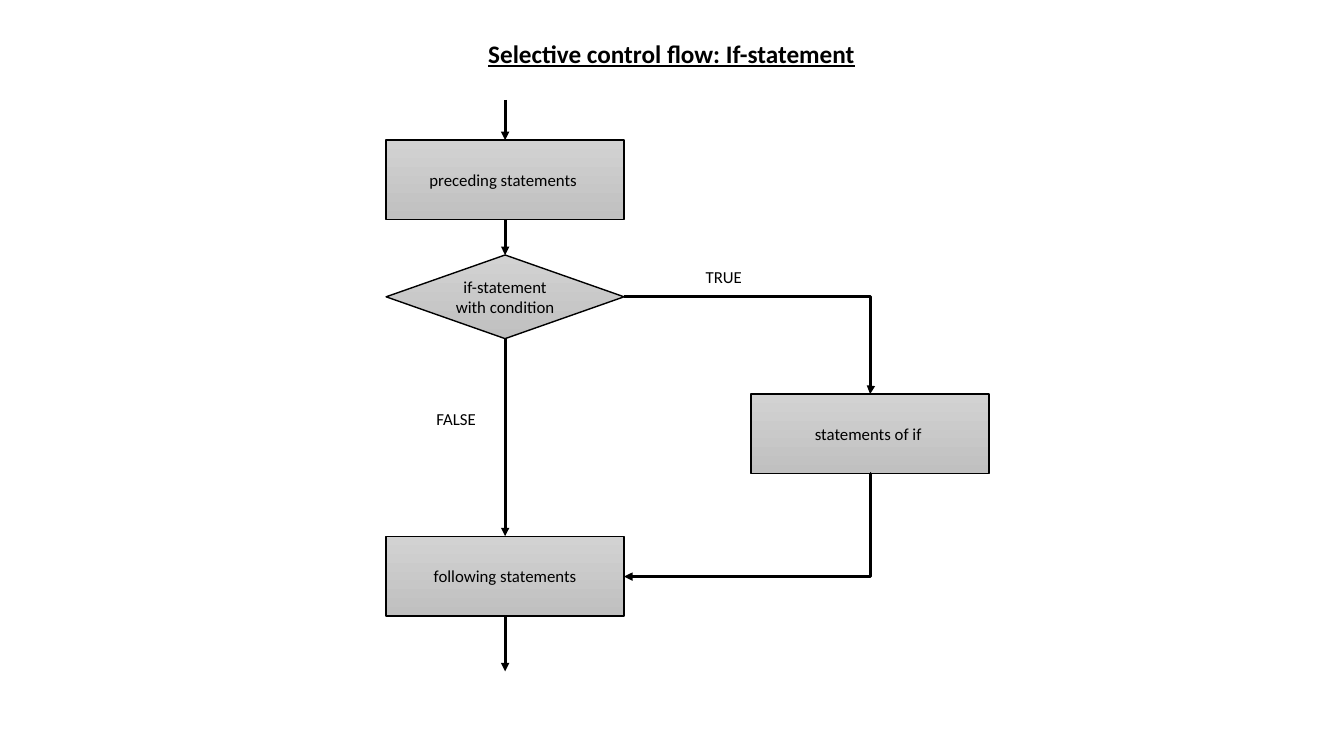
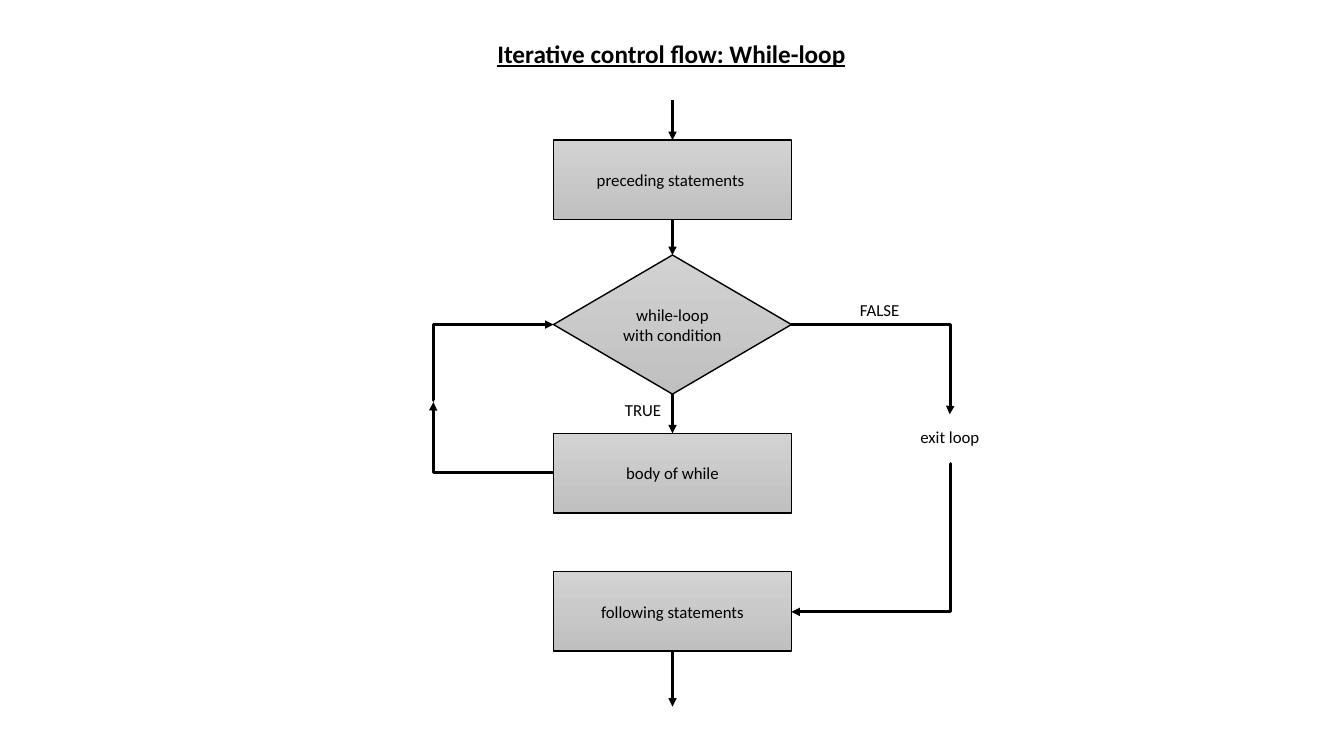
import pptx
import pptx.util
import pptx.dml.color
import pptx.enum.shapes
import pptx.enum.text
import pptx.oxml
import pptx.oxml.ns
from dataclasses import dataclass
from typing import Any, Optional

UNIT = 9144  # EMU in one px, 100 px to the inch
FONT = "Calibri"
HUES = {"ink": "000000", "top": "D2D2D2", "base": "C0C0C0"}
WIDE, TALL = 236, 79  # size of a process box

Kind = pptx.enum.shapes.MSO_SHAPE
Join = pptx.enum.shapes.MSO_CONNECTOR
Side = pptx.enum.text.PP_ALIGN
Hold = pptx.enum.text.MSO_ANCHOR
Grow = pptx.enum.text.MSO_AUTO_SIZE


@dataclass
class Node:
    text: str
    left: int
    top: int
    high: int = TALL
    kind: Any = Kind.FLOWCHART_PROCESS


@dataclass
class Arrow:
    x1: int
    y1: int
    x2: int
    y2: int
    bend: Optional[str] = None  # "across" or "down": which leg is first


@dataclass
class Label:
    text: str
    left: int
    top: int
    wide: int


@dataclass
class Chart:
    title: str
    nodes: list[Node]
    arrows: list[Arrow]
    labels: list[Label]


def px(size: int) -> int:
    return pptx.util.Emu(size * UNIT)


def hue(name: str) -> Any:
    return pptx.dml.color.RGBColor.from_string(HUES[name])


def write(shape: Any, text: str, *, size: int = 12, bold: bool = False,
          line: bool = False, align: Any = Side.CENTER,
          hold: Any = Hold.MIDDLE, wrap: bool = True) -> None:
    frame = shape.text_frame
    frame.word_wrap = wrap
    frame.vertical_anchor = hold
    frame.auto_size = Grow.NONE
    par = frame.paragraphs[0]
    par.alignment = align
    run = par.add_run()
    run.text = text
    font = run.font
    font.name, font.size = FONT, pptx.util.Pt(size)
    font.bold, font.underline = bold, line
    font.color.rgb = hue("ink")


def add_node(slide: Any, node: Node) -> None:
    shape = slide.shapes.add_shape(
        node.kind, px(node.left), px(node.top), px(WIDE), px(node.high))
    shape.shadow.inherit = False
    shape.fill.gradient()
    shape.fill.gradient_angle = 270
    for stop, name in zip(shape.fill.gradient_stops, ("top", "base")):
        stop.color.rgb = hue(name)
    shape.line.color.rgb = hue("ink")
    shape.line.width = pptx.util.Pt(1)
    write(shape, node.text)


def add_arrow(slide: Any, arrow: Arrow) -> None:
    kind = Join.ELBOW if arrow.bend else Join.STRAIGHT
    link = slide.shapes.add_connector(
        kind, px(arrow.x1), px(arrow.y1), px(arrow.x2), px(arrow.y2))
    link.line.color.rgb = hue("ink")
    link.line.width = pptx.util.Pt(2)
    make = pptx.oxml.ns.qn
    props = link.element.spPr
    tip = props.find(make("a:ln")).makeelement(
        make("a:tailEnd"), {"type": "triangle"})
    props.find(make("a:ln")).append(tip)
    props.append(props.makeelement(make("a:effectLst"), {}))
    if arrow.bend:
        # Put the turn just past one end, so the tip follows the last leg
        turn = 100300 if arrow.bend == "across" else -300
        geom = props.find(make("a:prstGeom"))
        rules = geom.find(make("a:avLst"))
        if rules is None:
            rules = geom.makeelement(make("a:avLst"), {})
            geom.append(rules)
        rules.append(rules.makeelement(
            make("a:gd"), {"name": "adj1", "fmla": f"val {turn}"}))


def add_label(slide: Any, label: Label) -> None:
    box = slide.shapes.add_textbox(
        px(label.left), px(label.top), px(label.wide), px(30))
    write(box, label.text, align=Side.LEFT, hold=Hold.TOP, wrap=False)


def draw(deck: Any, chart: Chart) -> None:
    slide = deck.slides.add_slide(deck.slide_layouts[5])
    title = slide.shapes.title
    title.left, title.top = px(430), px(33)
    title.width, title.height = px(472), px(40)
    write(title, chart.title, size=18, bold=True, line=True, hold=Hold.TOP)
    for node in chart.nodes:
        add_node(slide, node)
    for arrow in chart.arrows:
        add_arrow(slide, arrow)
    for label in chart.labels:
        add_label(slide, label)


def if_chart() -> Chart:
    left, side = 383, 745
    mid, right, far = left + WIDE // 2, left + WIDE, side + WIDE // 2
    return Chart(
        "Selective control flow: If-statement",
        [Node("preceding statements ", left, 139),
         Node("if-statement with condition", left, 253, 83,
              Kind.FLOWCHART_DECISION),
         Node("statements of if ", side, 391),
         Node("following statements", left, 532)],
        [Arrow(mid, 99, mid, 139),
         Arrow(mid, 218, mid, 253),
         Arrow(mid, 336, mid, 532),
         Arrow(mid, 611, mid, 666),
         Arrow(right, 294, far, 391, "across"),
         Arrow(far, 470, right, 572, "down")],
        [Label("TRUE", 690, 260, 57), Label("FALSE", 423, 401, 60)])


def while_chart() -> Chart:
    left, back, far = 549, 430, 942
    mid, right = left + WIDE // 2, left + WIDE
    return Chart(
        "Iterative control flow: While-loop",
        [Node("preceding statements ", left, 139),
         Node("while-loop with condition", left, 253, 138,
              Kind.FLOWCHART_DECISION),
         Node("body of while", left, 430),
         Node("following statements", left, 567)],
        [Arrow(mid, 99, mid, 139),
         Arrow(mid, 218, mid, 253),
         Arrow(mid, 391, mid, 430),
         Arrow(mid, 646, mid, 701),
         Arrow(right, 322, far, 411, "across"),
         Arrow(far, 460, right, 607, "down"),
         Arrow(left, 469, back, 399, "across"),
         Arrow(back, 397, left, 322, "down")],
        [Label("TRUE", 610, 392, 57), Label("FALSE", 843, 292, 60),
         Label("exit loop", 903, 418, 80)])


def main() -> None:
    deck = pptx.Presentation()
    deck.slide_width, deck.slide_height = px(1333), px(750)
    for chart in (if_chart(), while_chart()):
        draw(deck, chart)
    deck.save("out.pptx")


if __name__ == "__main__":
    main()
